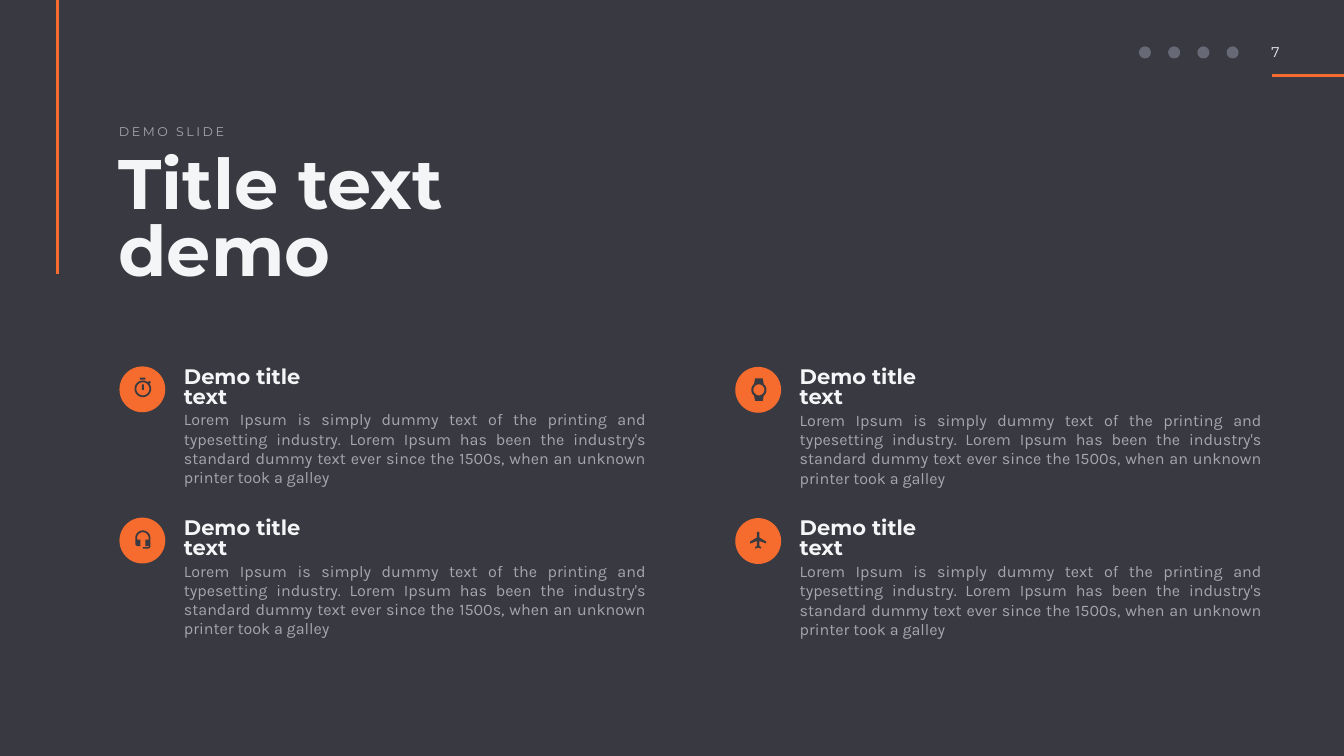
import math
import pptx
import pptx.dml.color
import pptx.enum.shapes
import pptx.enum.text
import pptx.oxml
import pptx.util

PX = 9144  # EMU in one px, 100 px to the inch
SLIDE_W, SLIDE_H = 2667, 1500

RGB = pptx.dml.color.RGBColor
BACKGROUND = RGB(0x39, 0x39, 0x41)
ORANGE = RGB(0xF5, 0x6C, 0x2E)
WHITE = RGB(0xF4, 0xF5, 0xF7)
GREY = RGB(0xA6, 0xA7, 0xAC)
DIM = RGB(0x68, 0x69, 0x76)

ALIGN = pptx.enum.text.PP_ALIGN
ANCHOR = pptx.enum.text.MSO_ANCHOR
SHAPE = pptx.enum.shapes.MSO_SHAPE


def arc(cx, cy, r, start=0, end=360):
    """Points of a circular arc, in degrees clockwise from the right."""
    steps = 32
    angles = [math.radians(start + (end - start) * i / steps) for i in range(steps + 1)]
    return [(cx + r * math.cos(a), cy + r * math.sin(a)) for a in angles]


def box(left, top, right, bottom):
    return [(left, top), (right, top), (right, bottom), (left, bottom)]


# Content
PAGE_NUMBER = "7"
KICKER = "DEMO SLIDE"
TITLE = "Title text demo"
HEADING = "Demo title text"
BODY = ("Lorem Ipsum is simply dummy text of the printing and typesetting industry. "
        "Lorem Ipsum has been the industry's standard dummy text ever since the 1500s, "
        "when an unknown printer took a galley")

# Icon outlines in px from the centre of their disc
STOPWATCH = [box(-5, -23, 6, -19), box(-1, -10, 3, 1),
             arc(1, -1, 16.5), arc(1, -1, 13),
             [(11, -14), (14, -17), (17, -14), (14, -11)]]
WATCH = [[(-6, -23), (9, -23), (11, -12)] + arc(1.5, 0, 15, -50, 50)
         + [(11, 12), (9, 22), (-6, 22), (-8, 12)] + arc(1.5, 0, 15, 130, 230) + [(-8, -12)],
         arc(1.5, 0, 11)]
HEADSET = [arc(1, -5, 15, 180, 360) + [(16, 11)] + arc(11, 11, 5, 0, 90)
           + [(1, 16), (1, 13), (13, 13), (13, 11), (6, 11), (6, -2), (13, -2)]
           + arc(1, -5, 11.5, 0, -180)
           + [(-10, -2), (-4, -2), (-4, 11), (-9, 11)] + arc(-9, 6, 5, 90, 180)]
PLANE = [arc(0, -16, 2.5, 180, 360)
         + [(2.5, -7), (16, 1), (16, 5), (2.5, 0), (2.5, 10), (6, 12), (6, 15), (0, 13),
            (-6, 15), (-6, 12), (-2.5, 10), (-2.5, 0), (-16, 5), (-16, 1), (-2.5, -7)]]
ITEMS = [(STOPWATCH, WATCH), (HEADSET, PLANE)]  # rows of icons

# Grid of the items
LEFT, TOP, COLUMN_STEP, ROW_STEP, COLUMN_DROP = 237, 727, 1222, 300, 1
DISC = 91
TEXT_DX, HEADING_DY, BODY_DY = 124, 13, 82

# Social marks: left edges of plain dots
SOCIAL_LEFTS = (2260, 2318, 2376, 2434)

prs = pptx.Presentation()
prs.slide_width, prs.slide_height = SLIDE_W * PX, SLIDE_H * PX
slide = prs.slides.add_slide(prs.slide_layouts[5])
slide.background.fill.solid()
slide.background.fill.fore_color.rgb = BACKGROUND
shapes = slide.shapes


def write(holder, text, font, size, color, bold=False, spacing=None,
          tracking=0, align=ALIGN.LEFT, anchor=ANCHOR.TOP):
    frame = holder.text_frame
    frame.text = text
    frame.word_wrap = True
    frame.auto_size = pptx.enum.text.MSO_AUTO_SIZE.NONE
    frame.vertical_anchor = anchor
    frame.margin_left = frame.margin_right = frame.margin_top = frame.margin_bottom = 4 * PX
    paragraph = frame.paragraphs[0]
    paragraph.alignment = align
    paragraph.line_spacing = spacing
    paragraph.font.name = font
    paragraph.font.size = pptx.util.Pt(size)
    paragraph.font.bold = bold
    paragraph.font.color.rgb = color
    if tracking:
        paragraph.runs[0].font._element.set("spc", str(tracking))


def add_text(left, top, width, height, *args, **kwargs):
    write(shapes.add_textbox(left * PX, top * PX, width * PX, height * PX), *args, **kwargs)


def paint(shape, color):
    shape.shadow.inherit = False
    shape.fill.solid()
    shape.fill.fore_color.rgb = color
    shape.line.fill.background()


def add_disc(left, top, size, color):
    paint(shapes.add_shape(SHAPE.OVAL, left * PX, top * PX, size * PX, size * PX), color)


def add_rule(x1, y1, x2, y2):
    rule = shapes.add_connector(pptx.enum.shapes.MSO_CONNECTOR.STRAIGHT,
                                x1 * PX, y1 * PX, x2 * PX, y2 * PX)
    rule.line.color.rgb = ORANGE
    rule.line.width = pptx.util.Pt(4)
    rule._element.spPr.append(pptx.oxml.parse_xml(
        '<a:effectLst xmlns:a="http://schemas.openxmlformats.org/drawingml/2006/main"/>'))


def add_icon(outlines, cx, cy):
    contours = [[((cx + x) * PX, (cy + y) * PX) for x, y in outline] for outline in outlines]
    builder = shapes.build_freeform(*contours[0][0], scale=1.0)
    for i, contour in enumerate(contours):
        if i:
            builder.move_to(*contour[0])
        builder.add_line_segments(contour[1:], close=True)
    paint(builder.convert_to_shape(), BACKGROUND)


# Top corner: social marks and page number
for social_left in SOCIAL_LEFTS:
    add_disc(social_left, 92, 24, DIM)
add_rule(2524, 150, SLIDE_W, 150)
add_text(2519, 83, 66, 42, PAGE_NUMBER, "Montserrat", 20, WHITE)

# Heading block
add_rule(114, 0, 114, 544)
add_text(232, 241, 424, 39, KICKER, "Montserrat", 18, GREY, tracking=360, anchor=ANCHOR.MIDDLE)
title = shapes.title
title.left, title.top, title.width, title.height = 231 * PX, 305 * PX, 995 * PX, 347 * PX
write(title, TITLE, "Montserrat", 100, WHITE, bold=True, spacing=0.8)

# Items
for row, icons in enumerate(ITEMS):
    for column, icon in enumerate(icons):
        left = LEFT + column * COLUMN_STEP
        top = TOP + row * ROW_STEP + column * COLUMN_DROP
        add_text(left + TEXT_DX, top + BODY_DY, 926, 162, BODY, "Karla", 23, GREY,
                 align=ALIGN.JUSTIFY)
        add_disc(left, top, DISC, ORANGE)
        add_icon(icon, left + DISC / 2, top + DISC / 2)
        add_text(left + TEXT_DX, top + HEADING_DY, 326, 60, HEADING, "Montserrat", 30, WHITE,
                 bold=True, spacing=0.8, anchor=ANCHOR.MIDDLE)

prs.save("out.pptx")
